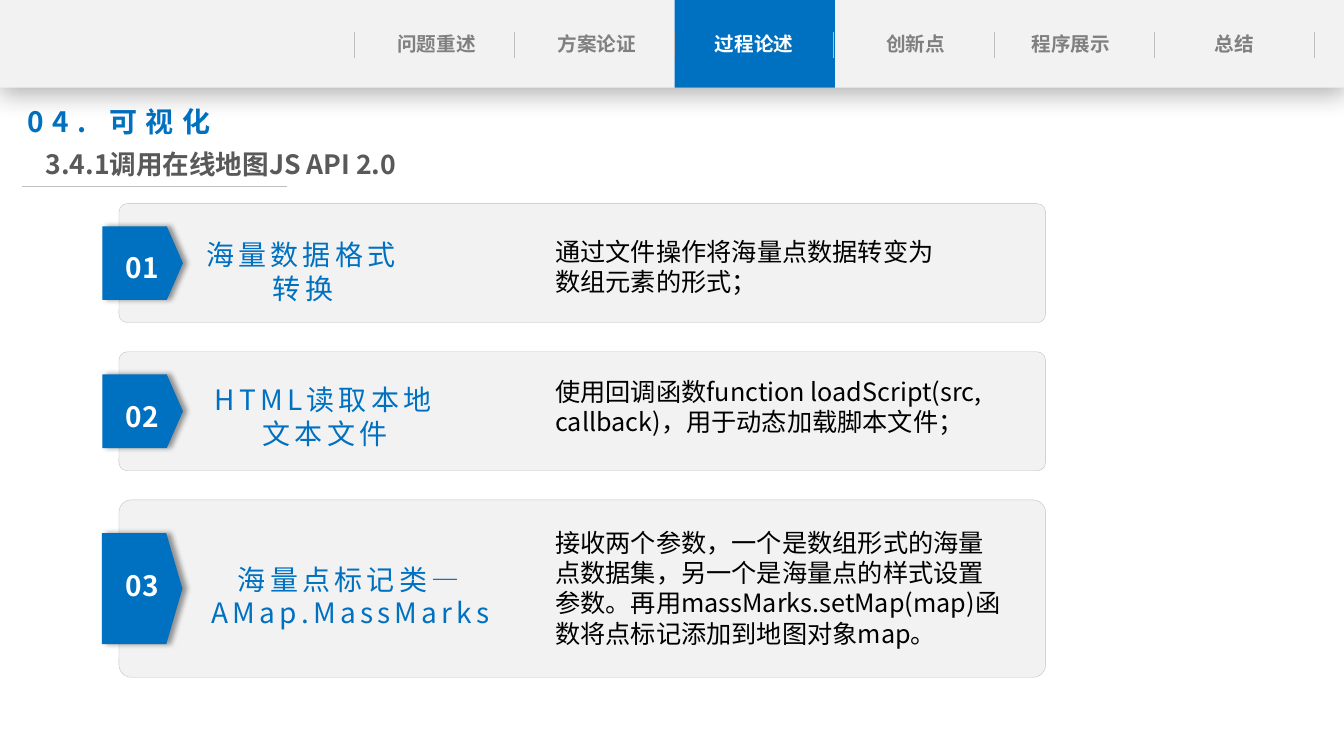
from lxml import etree
from pptx import Presentation
from pptx import util as u
from pptx.dml.color import RGBColor
from pptx.enum import shapes, text
from pptx.oxml.ns import qn

COLORS = {"blue": "0070C0", "panel": "F2F2F2", "rule": "BFBFBF", "tab": "808080",
          "heading": "595959", "white": "FFFFFF", "black": "000000"}
FONT = "Noto Sans CJK SC"
SCALE = 9144  # EMU per px, 100 px to the inch


def px(*lengths):
    return [u.Emu(length * SCALE) for length in lengths]


def rgb(name):
    return RGBColor.from_string(COLORS[name])


class Deck:
    def __init__(self, width, height):
        self.prs = Presentation()
        self.prs.slide_width, self.prs.slide_height = px(width, height)
        self.slide = self.prs.slides.add_slide(self.prs.slide_layouts[5])

    def fill_text(self, frame, words, size, color, bold=False, spacing=0,
                  center=False, middle=False, inset=10):
        frame.word_wrap = True
        frame.auto_size = text.MSO_AUTO_SIZE.NONE
        frame.vertical_anchor = text.MSO_ANCHOR.MIDDLE if middle else text.MSO_ANCHOR.TOP
        frame.margin_left, frame.margin_right = px(inset, inset)
        line = frame.paragraphs[0]
        line.alignment = text.PP_ALIGN.CENTER if center else text.PP_ALIGN.LEFT
        run = line.add_run()
        run.text = words
        run.font.name, run.font.size, run.font.bold = FONT, u.Pt(size), bold
        run.font.color.rgb = rgb(color)
        props = run.font._element
        props.set("spc", str(spacing * 100))
        props.find(qn("a:latin")).addnext(
            etree.Element(qn("a:ea"), typeface=FONT))

    def title(self, box, words, **style):
        holder = self.slide.shapes.title
        holder.left, holder.top, holder.width, holder.height = px(*box)
        self.fill_text(holder.text_frame, words, **style)

    def label(self, box, words, **style):
        self.fill_text(self.slide.shapes.add_textbox(*px(*box)).text_frame, words, **style)

    def block(self, kind, box, fill, outline=None, shadow=None):
        block = self.slide.shapes.add_shape(kind, *px(*box))
        block.fill.solid()
        block.fill.fore_color.rgb = rgb(fill)
        if outline:
            block.line.color.rgb = rgb(outline)
            block.line.width = u.Pt(0.25)
        else:
            block.line.fill.background()
        block.shadow.inherit = False
        if shadow:
            alpha, blur, distance, angle = shadow
            outer = etree.SubElement(
                block._element.spPr.find(qn("a:effectLst")), qn("a:outerShdw"),
                blurRad=str(u.Pt(blur)), dist=str(u.Pt(distance)),
                dir=str(angle * 60000), algn="ctr", rotWithShape="0")
            tint = etree.SubElement(outer, qn("a:srgbClr"), val=COLORS["black"])
            etree.SubElement(tint, qn("a:alpha"), val=str(alpha * 1000))
        return block

    def rule(self, *ends):
        rule = self.slide.shapes.add_connector(shapes.MSO_CONNECTOR.STRAIGHT, *px(*ends))
        rule.line.color.rgb = rgb("rule")
        rule.line.width = u.Pt(0.5)
        etree.SubElement(rule._element.spPr, qn("a:effectLst"))


SHAPE = shapes.MSO_SHAPE
TABS = [("问题重述", 433), ("方案论证", 592), ("过程论述", 748),
        ("创新点", 908), ("程序展示", 1062), ("总结", 1224)]
ACTIVE_TAB = "过程论述"

# number, card top and height, tag length, number top, step box, step, detail box, detail
CARDS = [
    ("01", 202, 118, 73, 244, (188, 244, 225, 50), "海量数据格式转换",
     (541, 229, 408, 71), "通过文件操作将海量点数据转变为数组元素的形式；"),
    ("02", 349, 118, 73, 391, (188, 372, 269, 82), "HTML读取本地文本文件",
     (541, 368, 502, 71),
     "使用回调函数function loadScript(src, callback)，用于动态加载脚本文件；"),
    ("03", 496, 176, 110, 559, (188, 536, 320, 110), "海量点标记类—AMap.MassMarks",
     (541, 518, 467, 131),
     "接收两个参数，一个是数组形式的海量点数据集，另一个是海量点的样式设置参数。"
     "再用massMarks.setMap(map)函数将点标记添加到地图对象map。"),
]


def main():
    deck = Deck(1333, 750)

    # Navigation bar
    deck.block(SHAPE.RECTANGLE, (0, 0, 1333, 87), "panel", shadow=(29, 18, 4, 90))
    deck.block(SHAPE.RECTANGLE, (669, 0, 159, 87), "blue")
    for tab, center in TABS:
        deck.label((center - 74, 27, 148, 34), tab, size=14, bold=True, center=True,
                   color="white" if tab == ACTIVE_TAB else "tab", inset=0)
    for index in range(len(TABS) + 1):
        divider = round(351 + 158.83 * index)
        deck.rule(divider, 32, divider, 58)

    # Headings
    deck.title((17, 99, 687, 44), "04. 可视化", size=20, color="blue", bold=True, spacing=6)
    deck.rule(22, 185, 285, 185)
    deck.label((22, 142, 394, 43), "3.4.1调用在线地图JS API 2.0", size=19,
               color="heading", bold=True, center=True, inset=0)

    # Step cards
    for number, top, height, length, number_top, step_box, step, detail_box, detail in CARDS:
        card = deck.block(SHAPE.ROUNDED_RECTANGLE, (118, top, 919, height), "panel", "rule")
        card.adjustments[0] = 0.07
        middle = top + height // 2
        tag = deck.block(SHAPE.FLOWCHART_OFFPAGE_CONNECTOR,
                         (141 - length // 2, middle - 40, length, 80), "blue",
                         shadow=(40, 4, 3, 0))
        tag.rotation = 270
        deck.label(step_box, step, size=20, color="blue", spacing=3,
                   center=True, middle=True)
        deck.label(detail_box, detail, size=18, color="black")
        deck.label((106, number_top, 70, 44), number, size=20, color="white",
                   bold=True, center=True)

    deck.prs.save("out.pptx")


if __name__ == "__main__":
    main()
